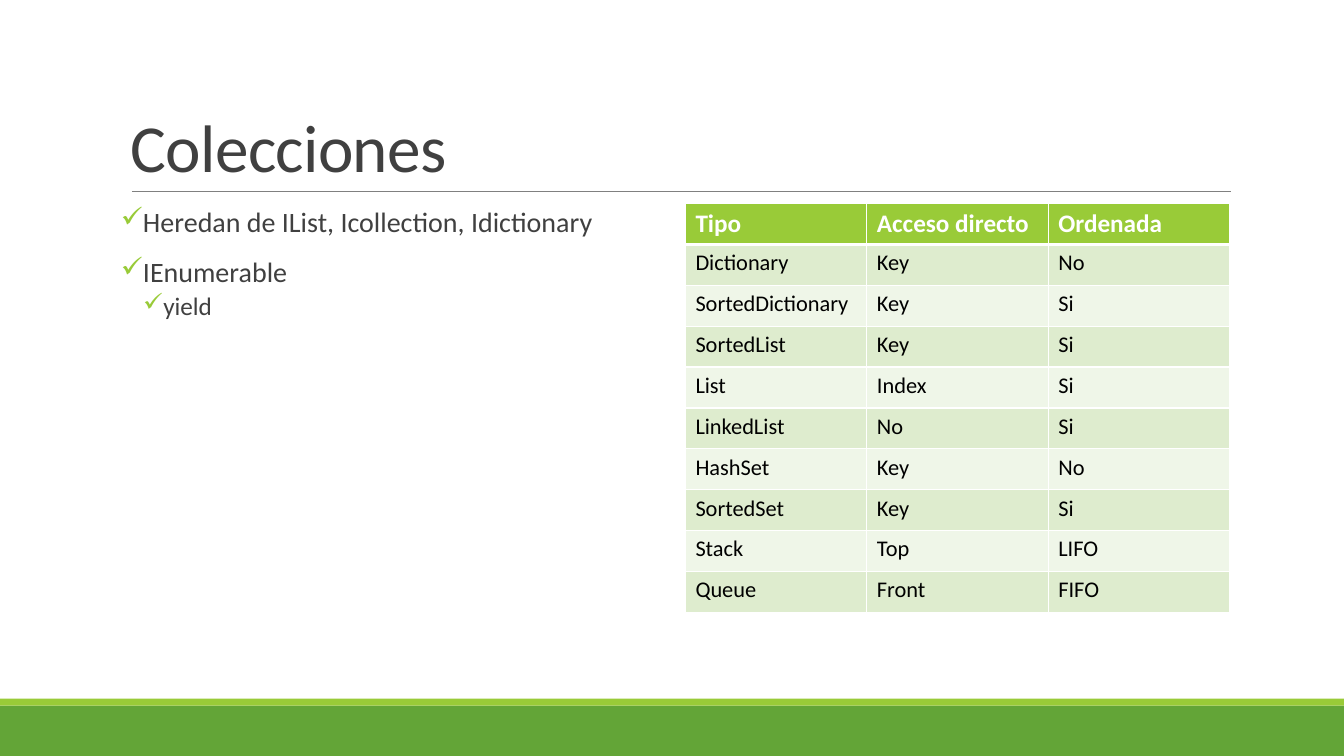
from lxml.etree import SubElement
from pptx import Presentation
from pptx.dml.color import RGBColor
from pptx.enum.shapes import MSO_CONNECTOR, MSO_SHAPE
from pptx.enum.text import MSO_ANCHOR
from pptx.oxml.ns import qn
from pptx.util import Pt


def color(code):
    return RGBColor.from_string(code)


def assign(target, values):
    for name, value in values.items():
        setattr(target, name, value)


class Deck:
    FONT = "Calibri"
    GRAY, LIME, GREEN, WHITE = "404040", "99CB38", "63A537", "FFFFFF"
    BANDS = "DEECCE", "EFF6E8"

    def __init__(self, wide, high):
        self.file = Presentation()
        assign(self.file, {"slide_width": Pt(wide), "slide_height": Pt(high)})
        self.slide = self.file.slides.add_slide(self.file.slide_layouts[6])

    def band(self, box, fill):
        shape = self.slide.shapes.add_shape(MSO_SHAPE.RECTANGLE, *map(Pt, box))
        shape.shadow.inherit = False
        shape.fill.solid()
        shape.fill.fore_color.rgb = color(fill)
        shape.line.fill.background()

    def rule(self, left, right, top, ink):
        line = self.slide.shapes.add_connector(
            MSO_CONNECTOR.STRAIGHT, Pt(left), Pt(top), Pt(right), Pt(top))
        line.line.color.rgb = color(ink)
        line.line.width = Pt(0.5)
        SubElement(line._element.spPr, qn("a:effectLst"))

    def frame(self, box, **values):
        frame = self.slide.shapes.add_textbox(*map(Pt, box)).text_frame
        assign(frame, {"word_wrap": True, **values})
        return frame

    def label(self, para, text, size, ink, bold=False):
        run = para.add_run()
        run.text = text
        assign(run.font, {"name": self.FONT, "size": Pt(size), "bold": bold})
        run.font.color.rgb = color(ink)
        return run

    def title(self, box, text):
        para = self.frame(box, vertical_anchor=MSO_ANCHOR.BOTTOM).paragraphs[0]
        para.line_spacing = 0.85
        run = self.label(para, text, 48, self.GRAY)
        run._r.get_or_add_rPr().set("spc", "-50")

    def bullets(self, box, items, levels):
        frame = self.frame(box, margin_left=0, margin_right=0)
        for index, (level, text) in enumerate(items):
            para = frame.add_paragraph() if index else frame.paragraphs[0]
            size, left, hang, before, after = levels[level]
            assign(para, {"level": level, "line_spacing": 0.9,
                          "space_before": Pt(before), "space_after": Pt(after)})
            props = para._p.get_or_add_pPr()
            props.set("marL", str(Pt(left)))
            props.set("indent", str(-Pt(hang)))
            tint = SubElement(props, qn("a:buClr"))
            SubElement(tint, qn("a:srgbClr"), val=self.LIME)
            SubElement(props, qn("a:buChar"), char="✓")
            self.label(para, text, size, self.GRAY)

    def edge(self, cell, side, width):
        line = SubElement(cell._tc.get_or_add_tcPr(), qn("a:ln" + side), w=str(Pt(width)))
        fill = SubElement(line, qn("a:solidFill"))
        SubElement(fill, qn("a:srgbClr"), val=self.WHITE)

    def table(self, box, rows):
        grid = self.slide.shapes.add_table(len(rows), len(rows[0]), *map(Pt, box)).table
        for r, row in enumerate(rows):
            head = r == 0
            fill = self.LIME if head else self.BANDS[(r - 1) % 2]
            style = (18, self.WHITE, True) if head else (16, "000000")
            for c, text in enumerate(row):
                cell = grid.cell(r, c)
                # The rule under the header is the thick one
                for side in "LRTB":
                    thick = (head and side == "B") or (r == 1 and side == "T")
                    self.edge(cell, side, 3 if thick else 1)
                cell.fill.solid()
                cell.fill.fore_color.rgb = color(fill)
                self.label(cell.text_frame.paragraphs[0], text, *style)


deck = Deck(960, 540)

# Footer bands and title rule
deck.band((0, 504, 960, 36), deck.GREEN)
deck.band((0, 499, 960, 5), deck.LIME)
deck.rule(94.3, 879, 136.8, "808080")

# Title
deck.title((86.4, 22.5, 792, 114.3), "Colecciones")

# Bullets; levels hold size, left, hang, space before and after
deck.bullets(
    (86.4, 145.4, 388.8, 316.8),
    [(0, "Heredan de IList, Icollection, Idictionary"),
     (0, "IEnumerable"),
     (1, "yield")],
    [(20, 7.2, 7.2, 12, 2), (18, 30.24, 14.4, 2, 4)])

# Table of collection types
deck.table((489.6, 145.4, 388.8, 292), [
    ("Tipo", "Acceso directo", "Ordenada"),
    ("Dictionary", "Key", "No"),
    ("SortedDictionary", "Key", "Si"),
    ("SortedList", "Key", "Si"),
    ("List", "Index", "Si"),
    ("LinkedList", "No", "Si"),
    ("HashSet", "Key", "No"),
    ("SortedSet", "Key", "Si"),
    ("Stack", "Top", "LIFO"),
    ("Queue", "Front", "FIFO"),
])

deck.file.save("out.pptx")
